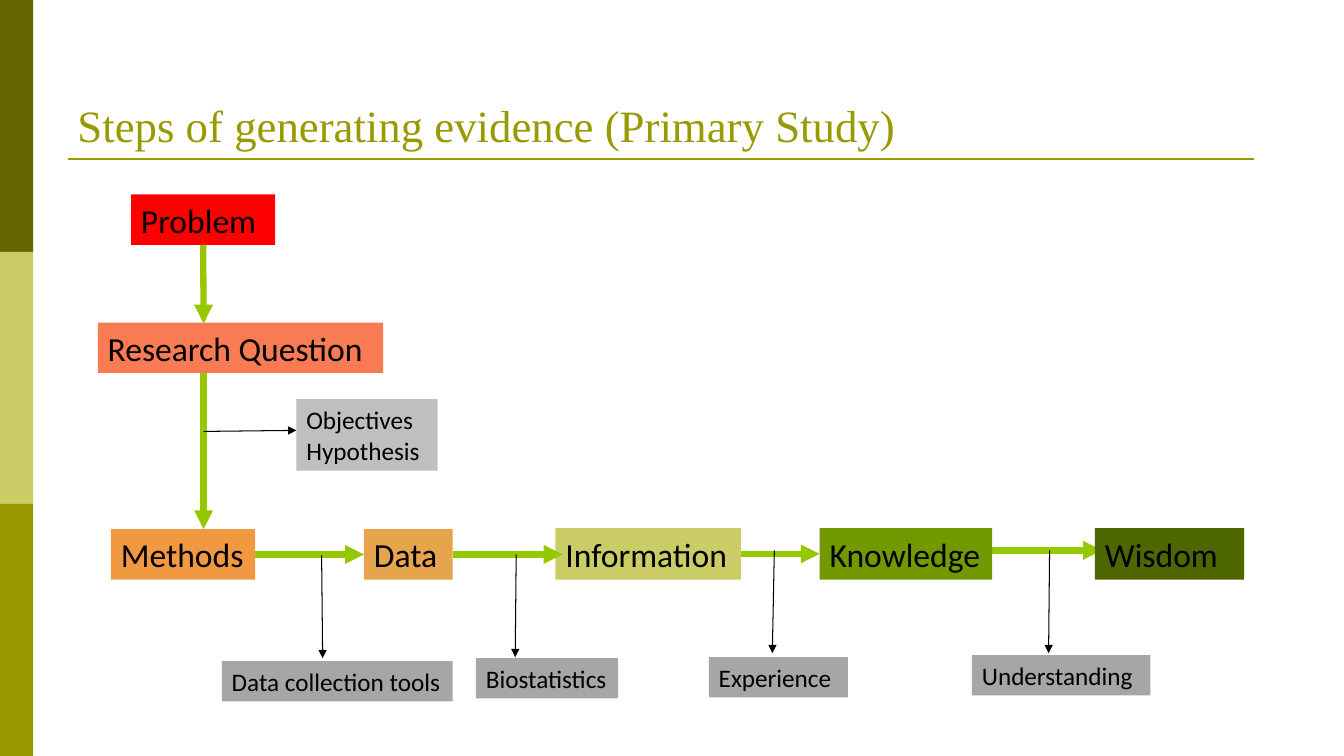
from dataclasses import dataclass

from lxml.etree import SubElement
from pptx import Presentation
from pptx.dml.color import RGBColor
from pptx.enum.shapes import MSO_CONNECTOR, MSO_SHAPE
from pptx.enum.text import MSO_ANCHOR, PP_ALIGN
from pptx.oxml.ns import qn
from pptx.util import Inches, Pt


@dataclass(frozen=True)
class Theme:
    dark: str = "666600"
    light: str = "CCCC66"
    olive: str = "999900"
    flow: str = "96C800"
    ink: str = "000000"
    note: str = "A6A6A6"
    aim: str = "BFBFBF"
    title_font: str = "Times New Roman"
    body_font: str = "Calibri"
    title_size: int = 32
    step_size: int = 24
    note_size: int = 18
    rule_width: float = 1.5
    flow_width: float = 4.5
    note_width: float = 0.75


THEME = Theme()
BOTTOM, LEFT, RIGHT = 2, 1, 3

# name: (left, top, width, height, fill)
STEPS = {
    "Problem": (1.3, 1.93, 1.43, 0.5, "FF0000"),
    "Research Question": (0.97, 3.2, 2.83, 0.5, "F97B53"),
    "Methods": (1.1, 5.25, 1.43, 0.5, "F19941"),
    "Data": (3.61, 5.25, 0.88, 0.5, "E6A44C"),
    "Information": (5.51, 5.24, 1.84, 0.51, THEME.light),
    "Knowledge": (8.13, 5.24, 1.71, 0.51, "739900"),
    "Wisdom": (10.86, 5.24, 1.48, 0.51, "4D6600"),
}
# text: (left, top, width, height, fill), arrow start, arrow end
NOTES = {
    "Objectives\nHypothesis": ((2.94, 3.96, 1.4, 0.71, THEME.aim), (2.02, 4.28), (2.94, 4.27)),
    "Data collection tools": ((2.2, 6.56, 2.29, 0.4, THEME.note), (3.19, 5.51), (3.2, 6.53)),
    "Biostatistics": ((4.72, 6.53, 1.41, 0.4, THEME.note), (5.12, 5.5), (5.11, 6.52)),
    "Experience": ((7.03, 6.52, 1.38, 0.4, THEME.note), (7.68, 5.46), (7.66, 6.48)),
    "Understanding": ((9.64, 6.5, 1.77, 0.4, THEME.note), (10.41, 5.46), (10.4, 6.48)),
}


def write(shape, text, anchor, size, font, color):
    frame = shape.text_frame
    settings = {"word_wrap": True, "vertical_anchor": anchor, "margin_right": 0}
    for name, value in settings.items():
        setattr(frame, name, value)
    frame.text = text
    for para in frame.paragraphs:
        para.alignment = PP_ALIGN.LEFT
        for name, value in {"size": Pt(size), "name": font}.items():
            setattr(para.font, name, value)
        para.font.color.rgb = RGBColor.from_string(color)


def add_block(page, left, top, width, height, fill):
    box = page.shapes.add_shape(
        MSO_SHAPE.RECTANGLE, *map(Inches, (left, top, width, height)))
    box.shadow.inherit = False
    box.fill.solid()
    box.fill.fore_color.rgb = RGBColor.from_string(fill)
    box.line.fill.background()
    return box


def add_label(page, text, place, size):
    box = add_block(page, *place)
    write(box, text, MSO_ANCHOR.MIDDLE, size, THEME.body_font, THEME.ink)
    return box


def add_line(page, start, end, color, width, arrow=True):
    line = page.shapes.add_connector(
        MSO_CONNECTOR.STRAIGHT, *map(Inches, (*start, *end)))
    line.line.color.rgb = RGBColor.from_string(color)
    line.line.width = Pt(width)
    if arrow:
        SubElement(line.line._get_or_add_ln(), qn("a:tailEnd"), type="triangle")
    SubElement(line._element.spPr, qn("a:effectLst"))
    return line


def add_sidebar(page, left, top, width, height):
    """Stack three equal colour bands."""
    band = height / 3
    for index, color in enumerate((THEME.dark, THEME.light, THEME.olive)):
        add_block(page, left, top + index * band, width, band, color)


def add_title(page, text, left, top, width, height):
    rule = top + height + 0.03
    add_line(page, (left, rule), (left + 11.77, rule),
             THEME.olive, THEME.rule_width, arrow=False)
    box = page.shapes.add_textbox(*map(Inches, (left, top, width, height)))
    write(box, text, MSO_ANCHOR.BOTTOM, THEME.title_size, THEME.title_font, THEME.olive)


def add_flow(page, left, top):
    """Draw the steps, their arrows and side notes from the given corner."""
    def at(x, y):
        return left + x, top + y

    def moved(place):
        return (*at(*place[:2]), *place[2:])

    def flow_arrow(start, end):
        return add_line(page, at(*start), at(*end), THEME.flow, THEME.flow_width)

    flow_arrow((9.84, 5.46), (10.93, 5.46))
    steps = {name: add_label(page, name, moved(place), THEME.step_size)
             for name, place in STEPS.items()}

    # start, end, step joined at start and its side, step joined at end
    arrows = (
        ((2.02, 2.43), (2.02, 3.21), "Problem", BOTTOM, None),
        ((2.02, 3.7), (2.02, 5.25), None, None, None),
        ((2.53, 5.5), (3.61, 5.5), "Methods", RIGHT, "Data"),
        ((4.49, 5.5), (5.58, 5.5), "Data", RIGHT, None),
        ((7.35, 5.5), (8.13, 5.5), "Information", RIGHT, "Knowledge"),
    )
    for start, end, source, side, target in arrows:
        arrow = flow_arrow(start, end)
        if source:
            arrow.begin_connect(steps[source], side)
        if target:
            arrow.end_connect(steps[target], LEFT)

    for text, (place, start, end) in NOTES.items():
        add_label(page, text, moved(place), THEME.note_size)
        add_line(page, at(*start), at(*end), THEME.ink, THEME.note_width)


def main():
    deck = Presentation()
    deck.slide_width, deck.slide_height = Inches(13.33), Inches(7.5)
    page = deck.slides.add_slide(deck.slide_layouts[6])
    add_sidebar(page, 0, 0, 0.33, 7.5)
    add_title(page, "Steps of generating evidence (Primary Study)", 0.67, 0.3, 12, 1.25)
    add_flow(page, 0, 0)
    deck.save("out.pptx")


if __name__ == "__main__":
    main()
